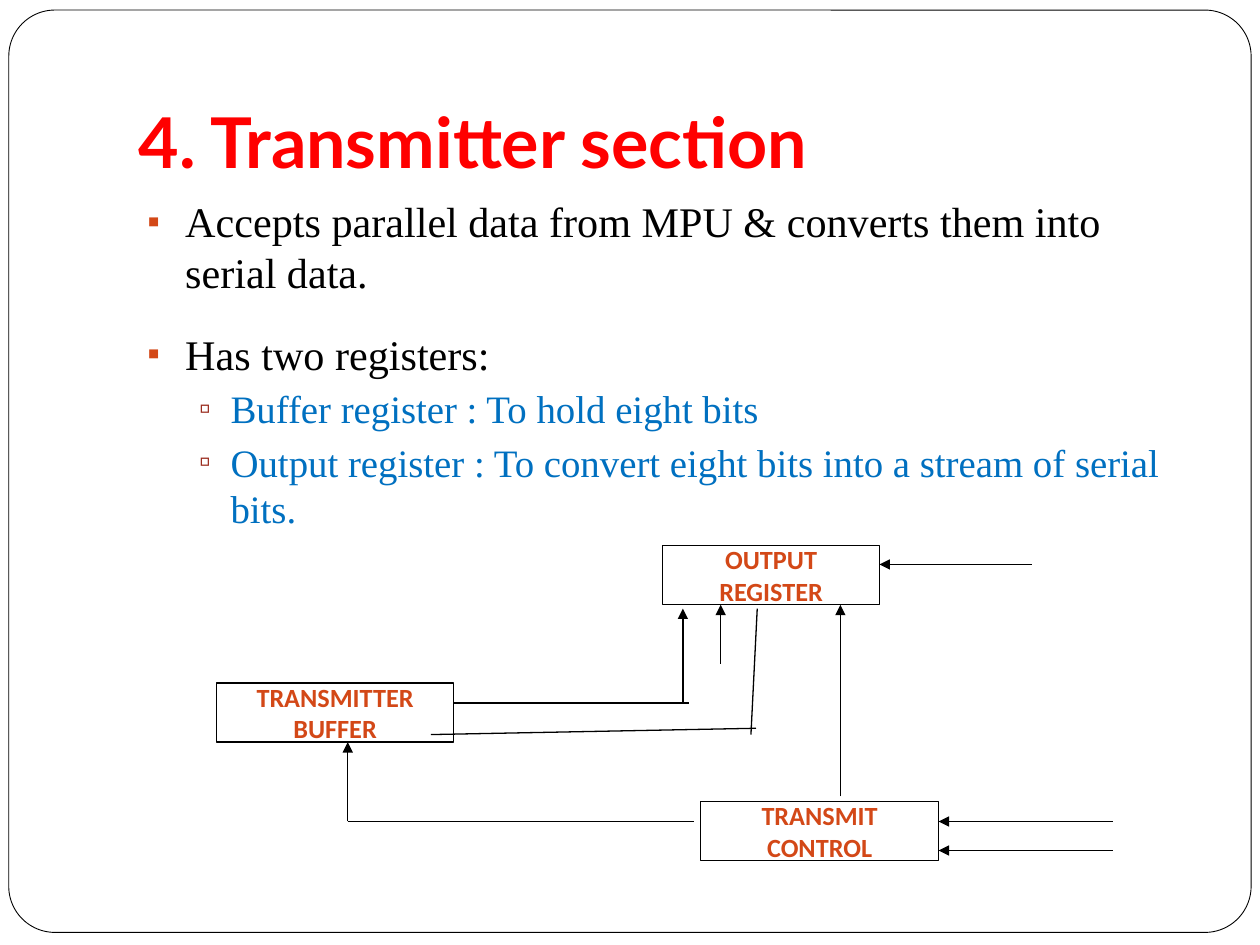
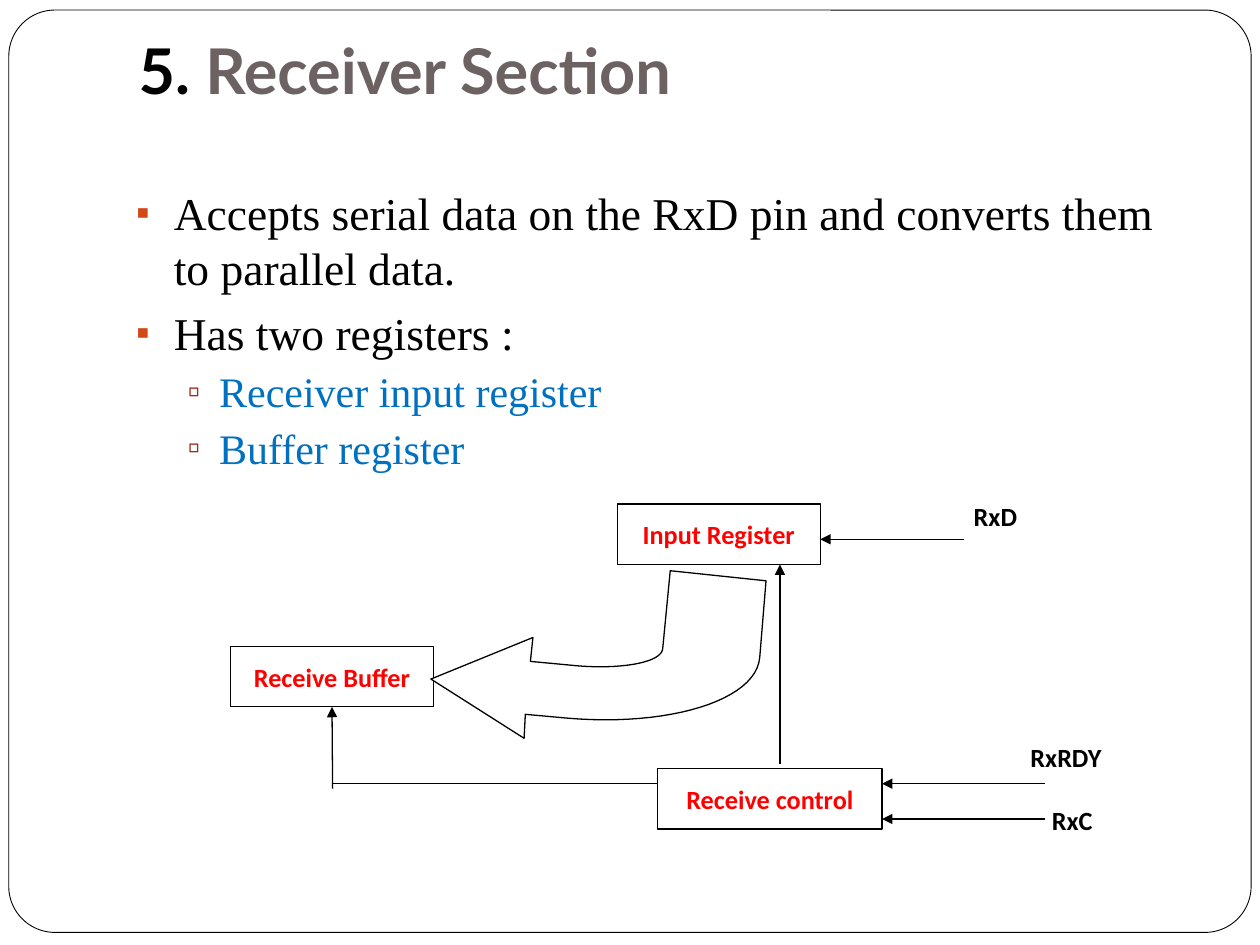
from dataclasses import dataclass
from lxml.etree import SubElement
from pptx import Presentation
from pptx.dml.color import RGBColor
from pptx.enum.shapes import MSO_CONNECTOR, MSO_SHAPE
from pptx.enum.text import MSO_ANCHOR, MSO_AUTO_SIZE, PP_ALIGN
from pptx.oxml.ns import qn
from pptx.util import Inches, Pt


@dataclass(frozen=True)
class Theme:
    white: str = "FFFFFF"
    black: str = "000000"
    red: str = "FF0000"
    rust: str = "D34817"
    brick: str = "9B2D1F"
    blue: str = "0070C0"
    gray: str = "6C6262"
    head: str = "Lato"
    body: str = "Times New Roman"
    label: str = "Calibri"
    small: float = 15
    thin: float = 0.5
    line: float = 0.75


@dataclass(frozen=True)
class Level:
    mark: str
    tint: str
    ink: str
    left: float
    hang: float
    before: float


THEME = Theme()
LEVELS = (
    Level("▪", THEME.rust, THEME.black, 0.45, 0.3, 5.8),
    Level("▫", THEME.brick, THEME.blue, 0.81, 0.25, 3.7),
)


def write(para, words, size=THEME.small, font=THEME.label, ink=THEME.black,
          bold=True, align=PP_ALIGN.LEFT):
    run = para.add_run()
    run.text = words
    run.font.size = Pt(size)
    run.font.name = font
    run.font.bold = bold
    run.font.color.rgb = RGBColor.from_string(ink)
    para.alignment = align


def place(shape, box):
    shape.left, shape.top, shape.width, shape.height = map(Inches, box)


def shift(box, x, y):
    return Inches(box[0] + x), Inches(box[1] + y)


def paint(shape, width=THEME.line):
    shape.shadow.inherit = False
    shape.fill.solid()
    shape.fill.fore_color.rgb = RGBColor.from_string(THEME.white)
    shape.line.color.rgb = RGBColor.from_string(THEME.black)
    shape.line.width = Pt(width)


def title(slide, box, parts, size, foot=0.1):
    shape = slide.shapes.title
    place(shape, box)
    frame = shape.text_frame
    frame.auto_size = MSO_AUTO_SIZE.NONE
    frame.vertical_anchor = MSO_ANCHOR.BOTTOM
    frame.margin_bottom = Inches(foot)
    for words, ink in parts:
        write(frame.paragraphs[0], words, size=size, font=THEME.head, ink=ink)


def bullet(para, level):
    props = para._p.get_or_add_pPr()
    props.set("marL", str(Inches(level.left)))
    props.set("indent", str(-Inches(level.hang)))
    tint = SubElement(props, qn("a:buClr"))
    SubElement(tint, qn("a:srgbClr"), val=level.tint)
    SubElement(props, qn("a:buSzPct"), val="85000")
    SubElement(props, qn("a:buChar"), char=level.mark)


def points(slide, box, items, sizes):
    shape = slide.placeholders[1]
    place(shape, box)
    frame = shape.text_frame
    frame.auto_size = MSO_AUTO_SIZE.NONE
    frame.vertical_anchor = MSO_ANCHOR.TOP
    for spot, (depth, words, extra) in enumerate(items):
        para = frame.add_paragraph() if spot else frame.paragraphs[0]
        level = LEVELS[depth]
        para.level = depth
        para.space_before = Pt(level.before + extra)
        write(para, words, size=sizes[depth], font=THEME.body,
              ink=level.ink, bold=False)
        bullet(para, level)


def block(slide, box, spot, words, ink):
    x, y, wide, high = spot
    shape = slide.shapes.add_shape(MSO_SHAPE.RECTANGLE, *shift(box, x, y),
                                   Inches(wide), Inches(high))
    paint(shape)
    frame = shape.text_frame
    frame.word_wrap = True
    frame.vertical_anchor = MSO_ANCHOR.MIDDLE
    para = frame.paragraphs[0]
    para.space_after = Pt(10)
    write(para, words, ink=ink, align=PP_ALIGN.CENTER)
    return shape


def wire(slide, box, start, end, arrow=True):
    line = slide.shapes.add_connector(MSO_CONNECTOR.STRAIGHT,
                                      *shift(box, *start), *shift(box, *end))
    line.line.color.rgb = RGBColor.from_string(THEME.black)
    line.line.width = Pt(THEME.line)
    if arrow:
        SubElement(line.line._get_or_add_ln(), qn("a:tailEnd"), type="triangle")
    SubElement(line._element.spPr, qn("a:effectLst"))
    return line


def tag(slide, box, spot, words):
    x, y, wide, high = spot
    shape = slide.shapes.add_textbox(*shift(box, x, y), Inches(wide), Inches(high))
    shape.text_frame.word_wrap = False
    write(shape.text_frame.paragraphs[0], words)


def curve(a, b, c, d, steps=24):
    for step in range(1, steps + 1):
        t = step / steps
        u = 1 - t
        yield tuple(u**3 * p + 3 * u * u * t * q + 3 * u * t * t * r + t**3 * s
                    for p, q, r, s in zip(a, b, c, d))


def bend(slide, box):
    path = [
        (1.62, 1.49), (2.36, 1.96), (2.37, 1.77), (2.7, 1.8),
        *curve((2.7, 1.8), (3.51, 1.87), (4.2, 1.66), (4.23, 1.32)),
        (4.28, 0.71), (3.52, 0.63), (3.46, 1.25),
        *curve((3.46, 1.25), (3.45, 1.36), (3.12, 1.42), (2.73, 1.38)),
        (2.41, 1.35), (2.43, 1.16),
    ]
    dots = [shift(box, *dot) for dot in path]
    pen = slide.shapes.build_freeform(*dots[0])
    pen.add_line_segments(dots[1:], close=True)
    paint(pen.convert_to_shape())


def sender(slide, box):
    for spot, words in (
        ((3.86, 2.06, 1.89, 0.47), "TRANSMIT CONTROL"),
        ((3.56, 0.03, 1.72, 0.47), "OUTPUT REGISTER"),
        ((0.02, 1.12, 1.88, 0.47), "TRANSMITTER BUFFER"),
    ):
        block(slide, box, spot, words, THEME.rust)
    for start, end in (
        ((3.72, 1.28), (3.72, 0.53)),
        ((1.06, 2.22), (1.06, 1.59)),
        ((4.97, 2.02), (4.97, 0.5)),
        ((6.49, 0.18), (5.28, 0.18)),
        ((7.13, 2.45), (5.75, 2.45)),
        ((7.13, 2.22), (5.75, 2.22)),
        ((4.02, 0.97), (4.02, 0.5)),
    ):
        wire(slide, box, start, end)
    for start, end in (
        ((1.06, 2.22), (3.81, 2.22)),
        ((1.9, 1.28), (3.77, 1.28)),
        ((4.26, 1.53), (4.31, 0.53)),
        ((1.72, 1.53), (4.3, 1.48)),
    ):
        wire(slide, box, start, end, arrow=False)


def taker(slide, box):
    buffer, *rest = [block(slide, box, spot, words, THEME.red) for spot, words in (
        ((0.03, 1.23, 1.61, 0.48), "Receive Buffer"),
        ((3.42, 2.2, 1.78, 0.48), "Receive control"),
        ((3.1, 0.1, 1.61, 0.48), "Input Register"),
    )]
    wire(slide, box, (0.84, 2.32), (3.42, 2.32), arrow=False)
    wire(slide, box, (0.84, 2.36), (0.84, 1.71)).end_connect(buffer, 2)
    for start, end in (
        ((4.39, 2.16), (4.39, 0.58)),
        ((5.85, 0.38), (4.71, 0.38)),
        ((6.49, 2.6), (5.2, 2.6)),
        ((6.49, 2.32), (5.2, 2.32)),
    ):
        wire(slide, box, start, end)
    bend(slide, box)
    for spot, words in (
        ((6.28, 1.93, 0.85, 0.35), "RxRDY"),
        ((6.45, 2.43, 0.57, 0.35), "RxC"),
        ((5.83, 0.02, 0.57, 0.35), "RxD"),
    ):
        tag(slide, box, spot, words)


def page(deck):
    slide = deck.slides.add_slide(deck.slide_layouts[1])
    frame = slide.shapes.add_shape(MSO_SHAPE.ROUNDED_RECTANGLE, Inches(0.07),
                                   Inches(0.08), Inches(9.86), Inches(7.32))
    frame.adjustments[0] = 0.05
    paint(frame, THEME.thin)
    slide.shapes.title._element.addprevious(frame._element)
    return slide


def main():
    deck = Presentation()
    deck.slide_width, deck.slide_height = Inches(10), Inches(7.5)
    top = (1, 0.3, 8.5, 1.25)

    slide = page(deck)
    title(slide, top, [("4. Transmitter section", THEME.red)], 40)
    points(slide, (0.92, 1.5, 8.5, 2.58), (
        (0, "Accepts parallel data from MPU & converts them into serial data.", 0),
        (0, "Has two registers:", 12.2),
        (1, "Buffer register : To hold eight bits", 0),
        (1, "Output register : To convert eight bits into a stream of serial bits.", 0),
    ), (24.1, 22.2))
    sender(slide, (1.7, 4.3, 7.2, 2.6))

    slide = page(deck)
    title(slide, top, [("5. ", THEME.black), ("Receiver Section", THEME.gray)],
          36, foot=0.7)
    points(slide, (0.83, 1.42, 8.5, 2.3), (
        (0, "Accepts serial data on the RxD pin and converts them to parallel data.", 0),
        (0, "Has two registers :", 0),
        (1, "Receiver input register", 0),
        (1, "Buffer register", 0),
    ), (26, 24))
    taker(slide, (1.8, 3.9, 7.2, 2.8))

    deck.save("out.pptx")


if __name__ == "__main__":
    main()
